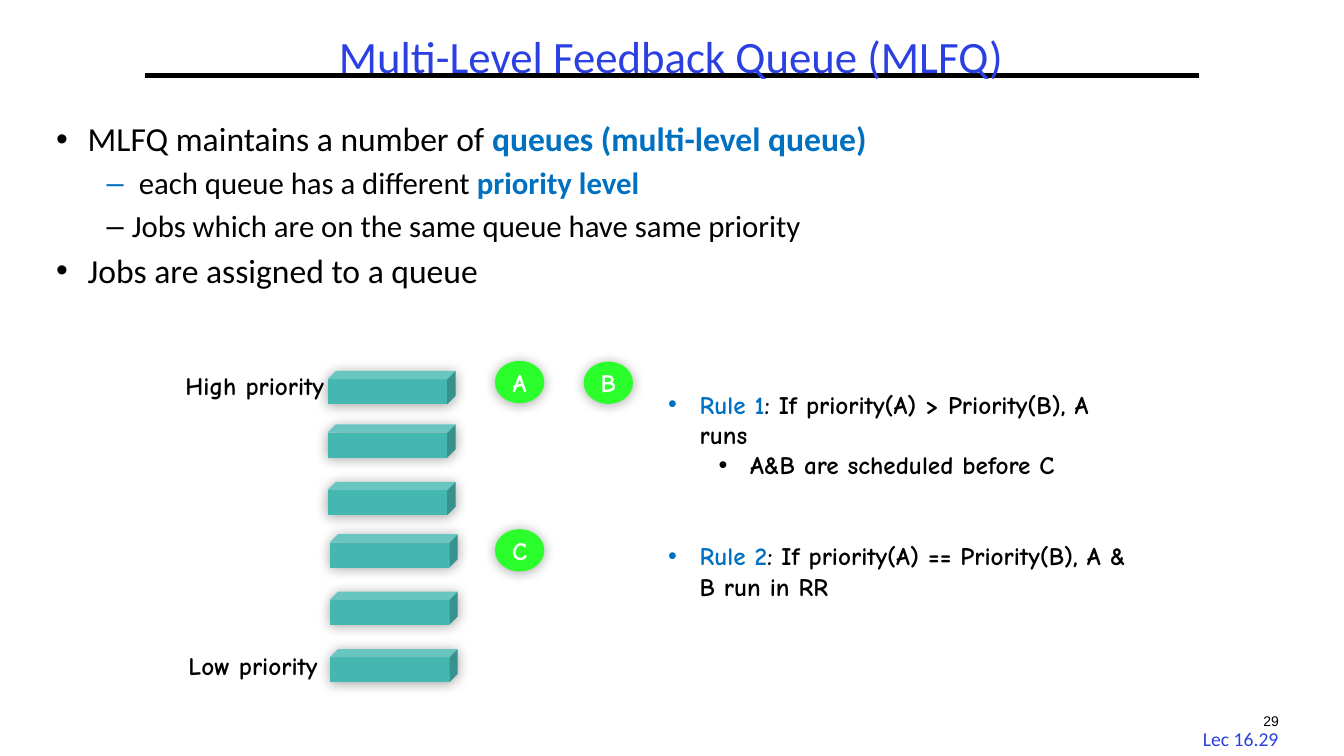
import pptx
import pptx.dml.color
import pptx.enum.shapes
import pptx.enum.text
import pptx.oxml.ns
import pptx.util
from lxml import etree

Pt = pptx.util.Pt
SHAPE = pptx.enum.shapes.MSO_SHAPE
ALIGN = pptx.enum.text.PP_ALIGN
ANCHOR = pptx.enum.text.MSO_ANCHOR
BLACK, WHITE, BLUE, ACCENT = "000000", "FFFFFF", "2A40E2", "0070C0"
QUEUE_FILL, JOB_FILL = "43B7B0", "2BFF2B"
BODY_FONT, DIAGRAM_FONT = "Calibri", "Comic Neue"


def colour(value):
    """Turn a hex string into a colour."""
    return pptx.dml.color.RGBColor.from_string(value)


def add_child(parent, tag, **attributes):
    """Append a drawing element with attributes to its parent."""
    values = {name: str(value) for name, value in attributes.items()}
    return etree.SubElement(parent, pptx.oxml.ns.qn(tag), values)


def add_spans(para, spans, font, size):
    """Add (text, colour, bold) spans to a paragraph."""
    for text, value, bold in spans:
        span = para.add_run()
        span.text = text
        span.font.name = font
        span.font.size = Pt(size)
        span.font.bold = bold
        span.font.color.rgb = colour(value)


def add_bullet(para, mark, value, left, hang):
    """Give a paragraph a coloured bullet and a hanging indent."""
    properties = para._p.get_or_add_pPr()
    properties.set("marL", str(Pt(left)))
    properties.set("indent", str(-Pt(hang)))
    add_child(add_child(properties, "a:buClr"), "a:srgbClr", val=value)
    add_child(properties, "a:buFont", typeface="Arial")
    add_child(properties, "a:buChar", char=mark)


def add_text_box(slide, box, wrap=True):
    """Add a text box and return its text frame."""
    frame = slide.shapes.add_textbox(*map(Pt, box)).text_frame
    frame.word_wrap = wrap
    return frame


def add_label(slide, box, text, font, size, value, bold=False, align=ALIGN.CENTER):
    """Add a one-line text and return its paragraph."""
    para = add_text_box(slide, box, wrap=False).paragraphs[0]
    para.alignment = align
    add_spans(para, [(text, value, bold)], font, size)
    return para


def add_soft_shape(slide, kind, box, fill):
    """Add a filled shape with a soft shadow below it."""
    shape = slide.shapes.add_shape(kind, *map(Pt, box))
    shape.fill.solid()
    shape.fill.fore_color.rgb = colour(fill)
    shape.line.fill.background()
    shape.shadow.inherit = False
    effects = shape._element.spPr.find(pptx.oxml.ns.qn("a:effectLst"))
    shadow = add_child(effects, "a:outerShdw", blurRad=Pt(9), dist=Pt(1),
                       dir=5400000, rotWithShape=0)
    add_child(add_child(shadow, "a:srgbClr", val=BLACK), "a:alpha", val=35000)
    return shape


def add_header(slide, box):
    """Place the title over its rule."""
    left, top, width, height = box
    y = Pt(top + 32.4)
    rule = slide.shapes.add_connector(pptx.enum.shapes.MSO_CONNECTOR.STRAIGHT,
                                      Pt(left + 70.6), y, Pt(left + 823), y)
    rule.line.color.rgb = colour(BLACK)
    rule.line.width = Pt(3)
    add_child(rule._element.spPr, "a:effectLst")
    title = add_label(slide, box, "Multi-Level Feedback Queue (MLFQ)", BODY_FONT, 32, BLUE)
    title.line_spacing = 0.9


def add_footer(slide, box):
    """Place the page number above the lecture number."""
    left, top, width, height = box
    add_label(slide, (left + 42.5, top, 36, 28.8), "29", "Arial", 10, BLACK)
    add_label(slide, (left, top + 10.1, width, 23.8), "Lec 16.29", BODY_FONT, 14, BLUE)


def add_points(slide, box):
    """Place the bulleted description of the queues."""
    points = [
        ("•", BLACK, 22.5, 22.5, 24, [("MLFQ maintains a number of ", BLACK, False),
                                      ("queues (multi-level queue)", ACCENT, True)]),
        ("–", ACCENT, 59, 23, 22, [("each queue has a different ", BLACK, False),
                                   ("priority level", ACCENT, True)]),
        ("–", BLACK, 54, 18, 22,
         [("Jobs which are on the same queue have same priority", BLACK, False)]),
        ("•", BLACK, 22.5, 22.5, 24, [("Jobs are assigned to a queue", BLACK, False)]),
    ]
    frame = add_text_box(slide, box)
    for index, (mark, value, left, hang, size, spans) in enumerate(points):
        para = frame.add_paragraph() if index else frame.paragraphs[0]
        add_bullet(para, mark, value, left, hang)
        para.line_spacing = 0.9
        para.space_before = Pt(0.3 * size if index else 0)
        add_spans(para, spans, BODY_FONT, size)


def add_queues(slide, box):
    """Place the stack of queues, their jobs and the priority labels."""
    left, top, width, height = box
    queues = [(108.7, 7.2), (108.7, 45.3), (108.7, 86.4),
              (110.2, 123.8), (110.2, 164.8), (110.2, 205.9)]
    for x, y in queues:
        add_soft_shape(slide, SHAPE.CUBE, (left + x, top + y, 91.4, 23.8), QUEUE_FILL)
    for name, x, y in [("A", 228.2, 0), ("B", 291.6, 0.5), ("C", 228.2, 120.2)]:
        job = add_soft_shape(slide, SHAPE.OVAL, (left + x, top + y, 35.3, 30.2), JOB_FILL)
        frame = job.text_frame
        frame.margin_left = frame.margin_right = 0
        frame.vertical_anchor = ANCHOR.MIDDLE
        frame.paragraphs[0].alignment = ALIGN.CENTER
        add_spans(frame.paragraphs[0], [(name, WHITE, True)], DIAGRAM_FONT, 18)
    for text, x, y in [("High priority", 0, 2.9), ("Low priority", 2.2, 203)]:
        add_label(slide, (left + x, top + y, 126, 28.8), text, DIAGRAM_FONT, 18, BLACK,
                  bold=True, align=ALIGN.LEFT)


def add_rules(slide, box):
    """Place the scheduling rules."""
    rules = [
        (ACCENT, 22.5, 0, [("Rule 1", ACCENT, True),
                           (": If priority(A) > Priority(B), A runs", BLACK, True)]),
        (BLACK, 58.5, 0, [("A&B are scheduled before C", BLACK, True)]),
        (ACCENT, 22.5, 43.5, [("Rule 2", ACCENT, True),
                              (": If priority(A) == Priority(B), A & B run in RR", BLACK, True)]),
    ]
    frame = add_text_box(slide, box)
    for index, (value, left, gap, spans) in enumerate(rules):
        para = frame.add_paragraph() if index else frame.paragraphs[0]
        add_bullet(para, "•", value, left, 22.5)
        para.space_before = Pt(gap)
        add_spans(para, spans, DIAGRAM_FONT, 18)


def main():
    """Build the slide and save the deck."""
    deck = pptx.Presentation()
    deck.slide_width, deck.slide_height = Pt(960), Pt(540)
    page = deck.slides.add_slide(deck.slide_layouts[6])
    add_footer(page, (847.4, 505.4, 77.8, 34))
    add_header(page, (33.1, 21.6, 892.8, 41.8))
    add_points(page, (33.1, 84.2, 892.8, 404.6))
    add_queues(page, (125.3, 257.8, 327, 232))
    add_rules(page, (470.2, 274.3, 343.4, 181.4))
    deck.save("out.pptx")


if __name__ == "__main__":
    main()
